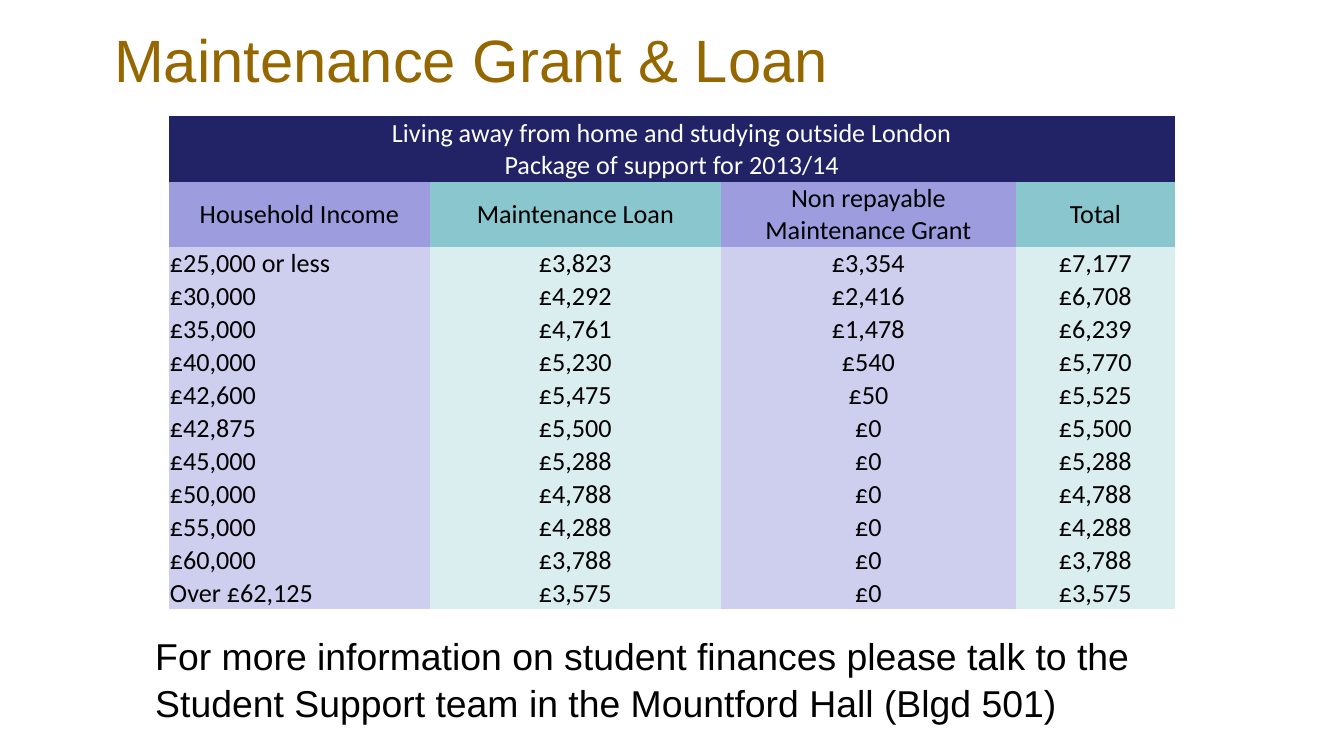
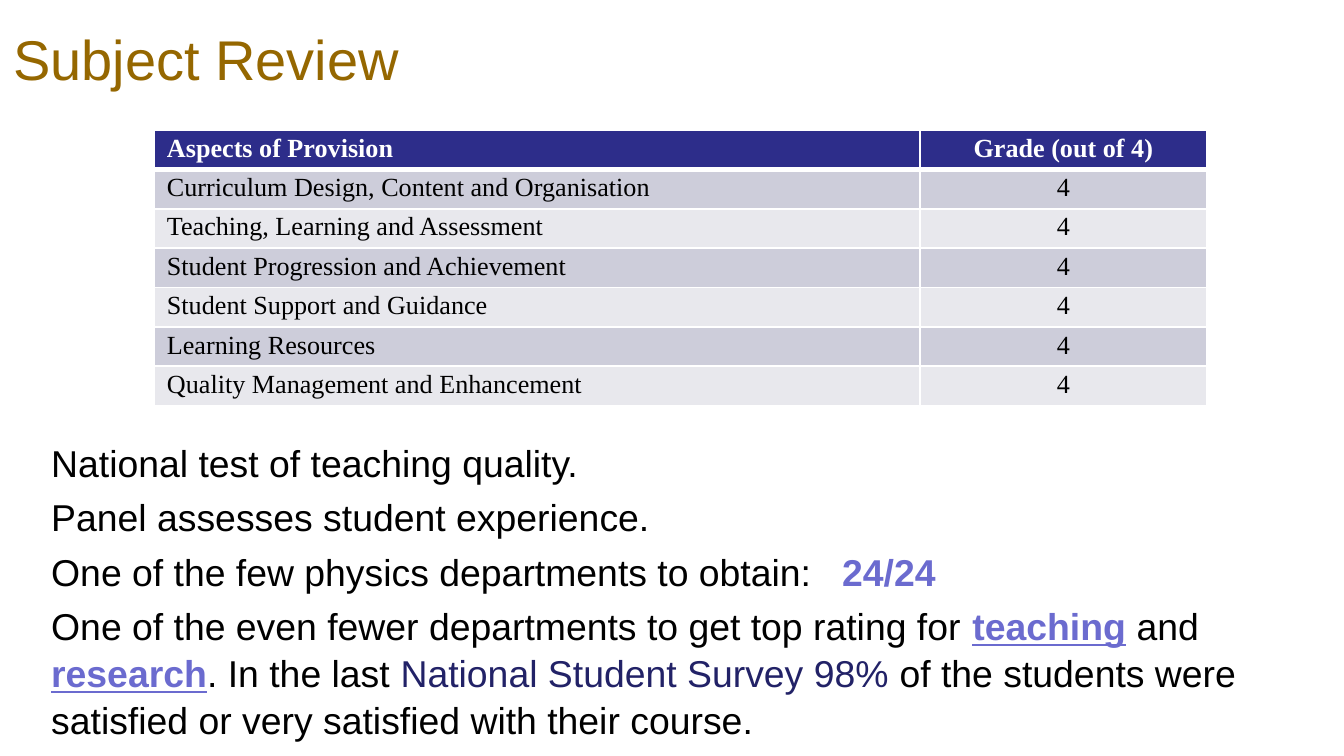
from dataclasses import dataclass

from lxml.etree import SubElement
from pptx import Presentation
from pptx.dml.color import RGBColor
from pptx.enum.text import MSO_ANCHOR, PP_ALIGN
from pptx.oxml.ns import qn
from pptx.util import Emu, Pt


@dataclass(frozen=True)
class Theme:
    # Colours
    title: str = "956700"
    ink: str = "000000"
    white: str = "FFFFFF"
    accent: str = "6B6BCF"
    navy: str = "222267"
    header_blue: str = "2D2D8A"
    column_heads: tuple = ("9C9CDF", "8AC6CD")
    column_tints: tuple = ("CECEEF", "DAEDEF")
    row_bands: tuple = ("CDCDDA", "E8E8ED")
    # Fonts and type sizes
    body_font: str = "Arial"
    finance_font: str = "Calibri"
    review_font: str = "Times New Roman"
    body_size: int = 20
    table_size: int = 14
    body_leading: float = 1.05
    body_gap: int = 4


THEME = Theme()
PAGE_WIDTH, PAGE_HEIGHT = 1344, 756
PLAIN_TABLE = "{2D5ABB26-0587-4C30-8999-92F81FD0307C}"

SUPPORT_HEADS = ["Household Income", "Maintenance Loan",
                 "Non repayable Maintenance Grant", "Total"]
SUPPORT_ROWS = [
    ("£25,000 or less", "£3,823", "£3,354", "£7,177"),
    ("£30,000", "£4,292", "£2,416", "£6,708"),
    ("£35,000", "£4,761", "£1,478", "£6,239"),
    ("£40,000", "£5,230", "£540", "£5,770"),
    ("£42,600", "£5,475", "£50", "£5,525"),
    ("£42,875", "£5,500", "£0", "£5,500"),
    ("£45,000", "£5,288", "£0", "£5,288"),
    ("£50,000", "£4,788", "£0", "£4,788"),
    ("£55,000", "£4,288", "£0", "£4,288"),
    ("£60,000", "£3,788", "£0", "£3,788"),
    ("Over £62,125", "£3,575", "£0", "£3,575"),
]
REVIEW_ASPECTS = [
    "Curriculum Design, Content and Organisation",
    "Teaching, Learning and Assessment",
    "Student Progression and Achievement",
    "Student Support and Guidance",
    "Learning Resources",
    "Quality Management and Enhancement",
]


def px(length):
    return Emu(round(length * 914400 / 134.4))


# Text
def add_span(para, text, *, size=THEME.body_size, font=THEME.body_font,
             color=THEME.ink, bold=False, underline=False):
    span = para.add_run()
    span.text = text
    span.font.size = Pt(size)
    span.font.name = font
    span.font.color.rgb = RGBColor.from_string(color)
    span.font.bold = bold
    span.font.underline = underline


def add_box(page, box, anchor=MSO_ANCHOR.TOP):
    frame = page.shapes.add_textbox(*map(px, box)).text_frame
    frame.word_wrap = True
    frame.vertical_anchor = anchor
    return frame


def add_title(page, box, text, size):
    frame = add_box(page, box, MSO_ANCHOR.BOTTOM)
    add_span(frame.paragraphs[0], text, size=size, color=THEME.title)


def add_body(page, box, paragraphs, tab_stop=None):
    """Each paragraph is a list of (text, format) pairs."""
    frame = add_box(page, box)
    for index, spans in enumerate(paragraphs):
        para = frame.add_paragraph() if index else frame.paragraphs[0]
        para.line_spacing = THEME.body_leading
        if index:
            para.space_before = Pt(THEME.body_gap)
        if any("\t" in text for text, _ in spans):
            stops = SubElement(para._p.get_or_add_pPr(), qn("a:tabLst"))
            SubElement(stops, qn("a:tab"), pos=str(px(tab_stop)), algn="l")
        for text, style in spans:
            add_span(para, text, **style)


# Tables
def add_grid(page, left, top, widths, heights):
    frame = page.shapes.add_table(
        len(heights), len(widths), px(left), px(top),
        px(sum(widths)), px(sum(heights)))
    table = frame.table
    table.first_row = table.horz_banding = False
    table._tbl.tblPr.find(qn("a:tableStyleId")).text = PLAIN_TABLE
    for column, width in zip(table.columns, widths):
        column.width = px(width)
    for row, height in zip(table.rows, heights):
        row.height = px(height)
    return table


def fill_cell(cell, text, fill, *, margins, anchor=MSO_ANCHOR.TOP,
              centred=True, **style):
    cell.fill.solid()
    cell.fill.fore_color.rgb = RGBColor.from_string(fill)
    (cell.margin_left, cell.margin_top,
     cell.margin_right, cell.margin_bottom) = map(px, margins)
    cell.vertical_anchor = anchor
    para = cell.text_frame.paragraphs[0]
    para.alignment = PP_ALIGN.CENTER if centred else PP_ALIGN.LEFT
    add_span(para, text, size=THEME.table_size, **style)


def set_borders(cell, **widths):
    properties = cell._tc.get_or_add_tcPr()
    for side in "LRTB":
        line = SubElement(properties, qn(f"a:ln{side}"),
                          w=str(Pt(widths.get(side, 1))))
        paint = SubElement(line, qn("a:solidFill"))
        SubElement(paint, qn("a:srgbClr"), val=THEME.white)


def add_support_table(page, left, top):
    banners = ["Living away from home and studying outside London",
               "Package of support for 2013/14"]
    heights = [33, 33, 65] + [33] * len(SUPPORT_ROWS)
    table = add_grid(page, left, top, [261, 291, 295, 159], heights)
    shared = dict(margins=(1, 1, 1, 0), font=THEME.finance_font)

    # Banner rows across all columns
    for row, text in enumerate(banners):
        table.cell(row, 0).merge(table.cell(row, 3))
        fill_cell(table.cell(row, 0), text, THEME.navy,
                  anchor=MSO_ANCHOR.BOTTOM, color=THEME.white, **shared)

    # Column heads, then amounts, in alternating column colours
    for column, text in enumerate(SUPPORT_HEADS):
        fill_cell(table.cell(2, column), text, THEME.column_heads[column % 2],
                  anchor=MSO_ANCHOR.MIDDLE, **shared)
    for row, values in enumerate(SUPPORT_ROWS, start=3):
        for column, text in enumerate(values):
            fill_cell(table.cell(row, column), text,
                      THEME.column_tints[column % 2],
                      anchor=MSO_ANCHOR.BOTTOM, centred=column > 0, **shared)


def add_review_table(page, left, top):
    rows = [("Aspects of Provision", "Grade (out of 4)")]
    rows += [(aspect, "4") for aspect in REVIEW_ASPECTS]
    table = add_grid(page, left, top, [766, 287], [39] * len(rows))
    for row, values in enumerate(rows):
        head = row == 0
        fill = THEME.header_blue if head else THEME.row_bands[(row - 1) % 2]
        borders = {0: {"B": 3}, 1: {"T": 3}}.get(row, {})
        for column, text in enumerate(values):
            cell = table.cell(row, column)
            set_borders(cell, **borders)
            fill_cell(cell, text, fill, margins=(13, 4, 13, 4),
                      centred=column > 0, font=THEME.review_font, bold=head,
                      color=THEME.white if head else THEME.ink)


# Slides
def build_finance_page(page):
    add_title(page, (101, 0, 1142, 101), "Maintenance Grant & Loan", 32)
    add_support_table(page, 169, 116)
    add_body(page, (142, 624, 1058, 103), [[
        ("For more information on student finances please talk to the "
         "Student Support team in the Mountford Hall (Blgd 501)", {})]])


def build_review_page(page):
    strong = dict(color=THEME.accent, bold=True)
    linked = dict(strong, underline=True)
    add_body(page, (38, 431, 1306, 325), [
        [("National test of teaching quality.", {})],
        [("Panel assesses student experience.", {})],
        [("One of the few physics departments to obtain:\t", {}),
         ("24/24", strong)],
        [("One of the even fewer departments to get top rating for ", {}),
         ("teaching", linked), (" and ", {}), ("research", linked),
         (". In the last ", {}),
         ("National Student Survey 98%", dict(color=THEME.navy)),
         (" of the students were satisfied or very satisfied "
          "with their course.", {})],
    ], tab_stop=791)
    add_review_table(page, 154, 130)
    add_title(page, (0, -3, 1142, 101), "Subject Review", 30)


def main():
    deck = Presentation()
    deck.slide_width, deck.slide_height = px(PAGE_WIDTH), px(PAGE_HEIGHT)
    for build in (build_finance_page, build_review_page):
        build(deck.slides.add_slide(deck.slide_layouts[6]))
    deck.save("out.pptx")


if __name__ == "__main__":
    main()
